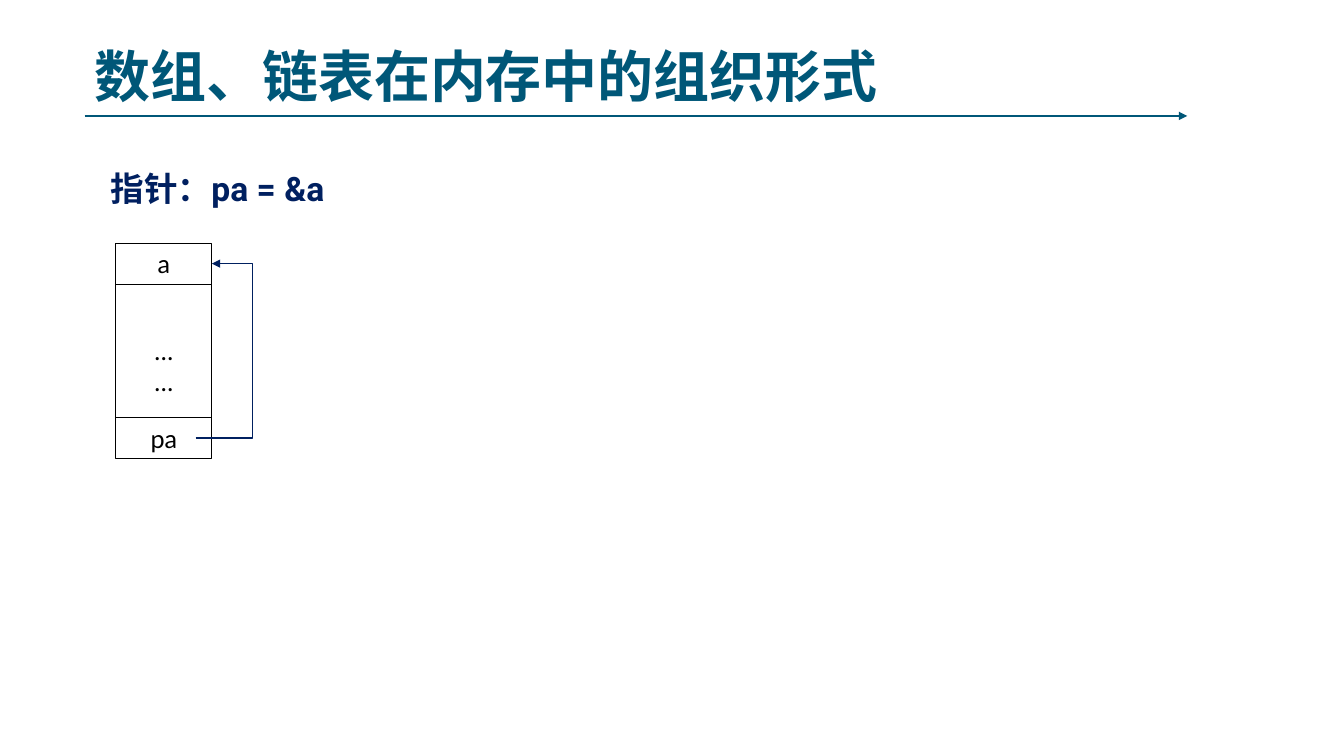
"""Build a slide showing a pointer variable in memory."""
from lxml import etree
from pptx import Presentation
from pptx.dml.color import RGBColor
from pptx.enum.shapes import MSO_CONNECTOR, MSO_SHAPE
from pptx.enum.text import MSO_ANCHOR, PP_ALIGN
from pptx.oxml.ns import qn
from pptx.util import Cm, Pt

STRAIGHT, ELBOW = MSO_CONNECTOR.STRAIGHT, MSO_CONNECTOR.ELBOW
RECT = MSO_SHAPE.RECTANGLE
TOP, MIDDLE, BOTTOM = MSO_ANCHOR.TOP, MSO_ANCHOR.MIDDLE, MSO_ANCHOR.BOTTOM
LEFT, CENTER = PP_ALIGN.LEFT, PP_ALIGN.CENTER

COLORS = {"title": "005778", "navy": "002060", "black": "000000"}
CJK = "Noto Sans CJK SC"
TITLE = "数组、链表在内存中的组织形式"
HEADING = "指针：pa = &a"
CELLS = [("a", 1.03, 0.13), ("…\n…", 3.36, 0.89), ("pa", 1.03, 0.13)]
CELL_LEFT, CELL_TOP, CELL_WIDTH = 2.92, 6.13, 2.42
POINTER_START, POINTER_BEND = 4.93, 6.36


def rgb(name):
    return RGBColor.from_string(COLORS[name])


def write(sp, text, font, size, color, bold=False, align=LEFT, anchor=TOP):
    tf = sp.text_frame
    tf.word_wrap = True
    tf.vertical_anchor = anchor
    tf.text = text
    for p in tf.paragraphs:
        p.alignment = align
        for r in p.runs:
            r.font.name, r.font.size, r.font.bold = font, Pt(size), bold
            r.font.color.rgb = rgb(color)
            ea = etree.SubElement(r.font._element, qn("a:ea"))
            ea.set("typeface", CJK)
    return tf


def add_arrow(s, kind, start, end, color, width):
    cx = s.shapes.add_connector(kind, *map(Cm, start + end))
    cx.line.color.rgb, cx.line.width = rgb(color), Pt(width)
    etree.SubElement(cx.line._get_or_add_ln(), qn("a:tailEnd")).set("type", "triangle")
    etree.SubElement(cx._element.spPr, qn("a:effectLst"))
    return cx


def add_cells(s):
    top, middles = CELL_TOP, []
    for text, height, inset in CELLS:
        sp = s.shapes.add_shape(RECT, Cm(CELL_LEFT), Cm(top), Cm(CELL_WIDTH), Cm(height))
        sp.shadow.inherit = False
        sp.fill.background()
        sp.line.color.rgb, sp.line.width = rgb("black"), Pt(0.75)
        tf = write(sp, text, "Lato", 18, "black", align=CENTER, anchor=MIDDLE)
        tf.margin_top = Cm(inset)
        middles.append(top + height / 2)
        top += height
    return middles


def main():
    prs = Presentation()
    prs.slide_width, prs.slide_height = Cm(33.87), Cm(19.05)
    s = prs.slides.add_slide(prs.slide_layouts[6])

    add_arrow(s, STRAIGHT, (2.13, 2.92), (29.92, 2.92), "title", 1.5)
    title = s.shapes.add_textbox(Cm(2.13), Cm(0), Cm(22.8), Cm(2.75))
    tf = write(title, TITLE, CJK, 40, "title", bold=True, anchor=BOTTOM)
    tf.margin_bottom = Cm(0)
    heading = s.shapes.add_textbox(Cm(2.54), Cm(4.11), Cm(27.4), Cm(1.5))
    write(heading, HEADING, "Roboto", 24, "navy", bold=True)

    middles = add_cells(s)
    cell_right = CELL_LEFT + CELL_WIDTH
    cx = add_arrow(s, ELBOW, (POINTER_START, middles[-1]), (cell_right, middles[0]), "navy", 1)
    bend = (POINTER_BEND - POINTER_START) / (cell_right - POINTER_START)
    guides = cx._element.spPr.find(qn("a:prstGeom")).find(qn("a:avLst"))
    gd = etree.SubElement(guides, qn("a:gd"))
    gd.set("name", "adj1")
    gd.set("fmla", f"val {round(bend * 100000)}")
    prs.save("out.pptx")


if __name__ == "__main__":
    main()
